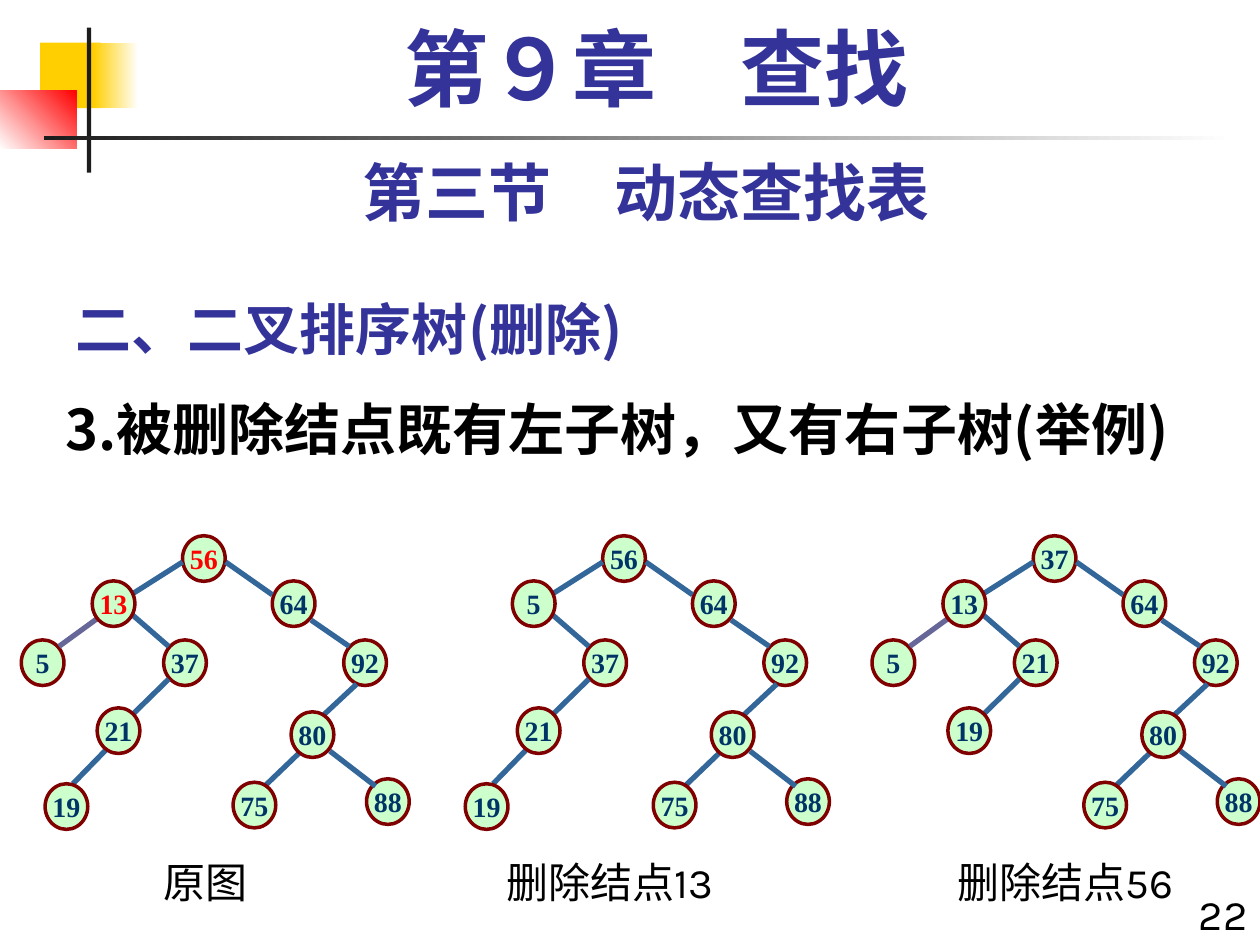
"""Build the slide on deleting nodes from a binary search tree."""
from lxml.etree import SubElement as sub
from pptx import Presentation
from pptx.dml.color import RGBColor as RGB
from pptx.enum.shapes import MSO_CONNECTOR as CON, MSO_SHAPE as SHP
from pptx.enum.text import MSO_ANCHOR as ANC, MSO_AUTO_SIZE as FIT, PP_ALIGN as AL
from pptx.oxml.ns import qn
from pptx.util import Cm, Pt

SANS, HAN, SERIF = "Karla", "Noto Sans CJK SC", "Times New Roman"
BLUE, BLACK, NAVY, RED = "333399", "000000", "003366", "FF0000"
STEEL, GREY = "336699", "666699"
NODE = 0.86, 0.92

DECOR = [
    ((0.81, 0.86, 1.22, 1.32), ["FFCF01"], 0),
    ((1.88, 0.86, 0.91, 1.32), ["FFCF01", "FFFFFF"], 0),
    ((0, 1.83, 1.55, 1.17), ["FFFFFF", "FF0000"], 45),
    ((1.75, 0.56, 0.09, 2.92), ["1C1C1C"], 0),
    ((0.89, 2.74, 24, 0.09), ["1C1C1C", "FFFFFF"], 0),
]
TITLE = "二、二叉排序树(删除)"
TEXTS = [
    ((1.7, 0.43, 23.06, 2.11), "第９章　查找", 48, SERIF, BLUE, True, AL.CENTER),
    ((1.27, 2.97, 23.5, 1.78), "第三节　动态查找表", 36, SANS, BLUE, True, AL.CENTER),
    ((1.07, 7.82, 24.33, 11.23), "3.被删除结点既有左子树，又有右子树(举例)",
     32, HAN, BLACK, True, AL.LEFT),
    ((2.34, 17.15, 3.61, 1.27), "原图", 24, SANS, BLACK, False, AL.CENTER),
    ((9.96, 17.15, 5.28, 1.27), "删除结点13", 24, SANS, BLACK, False, AL.LEFT),
    ((19.05, 17.15, 5.08, 1.27), "删除结点56", 24, SANS, BLACK, False, AL.LEFT),
    ((23.7, 17.78, 1.7, 1.27), "22", 24, SANS, BLACK, False, AL.RIGHT),
]
BACK = {"root": (3.68, 10.8), "R": (5.49, 11.71), "LL": (0.43, 12.9),
        "RR": (6.93, 12.9), "LR": (3.3, 12.9), "RRLR": (7.39, 15.7)}
FRONT = {"LRLL": (0.91, 15.8), "RRL": (5.87, 14.35), "LRL": (1.96, 14.27),
         "L": (1.86, 11.71), "RRLL": (4.7, 15.77)}
EDGES = {
    "L": (3.68, 11.33, 2.64, 11.99), "LL": (1.96, 12.47, 1.19, 13.03),
    "R": (4.55, 11.33, 5.49, 11.99), "LR": (2.64, 12.37, 3.4, 13.03),
    "LRL": (3.4, 13.69, 2.46, 14.61), "RR": (6.27, 12.5, 7.04, 13.03),
    "RRL": (7.19, 13.79, 6.45, 14.48), "RRLR": (6.65, 15.14, 7.57, 15.85),
    "LRLL": (2.24, 15.01, 1.47, 15.8), "RRLL": (6.02, 15.19, 5.28, 15.9),
}
RIGHT = {"R": 64, "RR": 92, "RRL": 80, "RRLL": 75, "RRLR": 88}
TREES = [
    (0, {"root": 56, "L": 13, "LL": 5, "LR": 37, "LRL": 21, "LRLL": 19}, (56, 13)),
    (8.47, {"root": 56, "L": 5, "LR": 37, "LRL": 21, "LRLL": 19}, ()),
    (17.15, {"root": 37, "L": 13, "LL": 5, "LR": 21, "LRL": 19}, ()),
]


def hue(code):
    return RGB.from_string(code)


def write(para, text, size, face, color, bold, align):
    para.alignment = align
    run = para.add_run()
    run.text = text
    font = run.font
    font.size, font.name, font.bold = Pt(size), face, bold
    font.color.rgb = hue(color)
    sub(font._element, qn("a:ea")).set("typeface", HAN)


def block(shapes, kind, box, fills, angle=0):
    shape = shapes.add_shape(kind, *map(Cm, box))
    shape.shadow.inherit = False
    shape.line.fill.background()
    if len(fills) == 1:
        shape.fill.solid()
        shape.fill.fore_color.rgb = hue(fills[0])
    else:
        shape.fill.gradient()
        shape.fill.gradient_angle = angle
        for stop, code in zip(shape.fill.gradient_stops, fills):
            stop.color.rgb = hue(code)
    return shape


def node(shapes, x, y, key, color):
    ball = block(shapes, SHP.OVAL, (x, y, *NODE), ["CCFFCC"])
    ball.line.color.rgb = hue("800000")
    ball.line.width = Pt(2)
    frame = ball.text_frame
    frame.word_wrap = False
    frame.vertical_anchor = ANC.MIDDLE
    write(frame.paragraphs[0], str(key), 16, SERIF, color, True, AL.CENTER)


def edge(shapes, ends, color):
    line = shapes.add_connector(CON.STRAIGHT, *map(Cm, ends))
    line.line.color.rgb = hue(color)
    line.line.width = Pt(3)
    sub(line._element.spPr, qn("a:effectLst"))


def tree(slide, dx, keys, marked):
    shapes = slide.shapes.add_group_shape().shapes

    def nodes(spots):
        for name, (x, y) in spots.items():
            if name in keys:
                key = keys[name]
                node(shapes, x + dx, y, key, RED if key in marked else NAVY)

    nodes(BACK)
    for name, (x1, y1, x2, y2) in EDGES.items():
        if name in keys:
            edge(shapes, (x1 + dx, y1, x2 + dx, y2), GREY if name == "LL" else STEEL)
    nodes(FRONT)


def main():
    deck = Presentation()
    deck.slide_width, deck.slide_height = Cm(25.4), Cm(19.05)
    slide = deck.slides.add_slide(deck.slide_layouts[5])
    for box, fills, angle in DECOR:
        block(slide.shapes, SHP.RECTANGLE, box, fills, angle)

    title = slide.shapes.title
    title.left, title.top, title.width, title.height = map(Cm, (1.27, 5.51, 15.88, 1.9))
    title.text_frame.auto_size = FIT.NONE
    title.text_frame.vertical_anchor = ANC.BOTTOM
    write(title.text_frame.paragraphs[0], TITLE, 32, HAN, BLUE, True, AL.LEFT)

    for box, text, size, *style in TEXTS:
        frame = slide.shapes.add_textbox(*map(Cm, box)).text_frame
        frame.word_wrap = True
        para = frame.paragraphs[0]
        para.line_spacing = 0.9 if size == 48 else 1
        write(para, text, size, *style)

    for dx, keys, marked in TREES:
        tree(slide, dx, {**keys, **RIGHT}, marked)
    deck.save("out.pptx")


if __name__ == "__main__":
    main()
